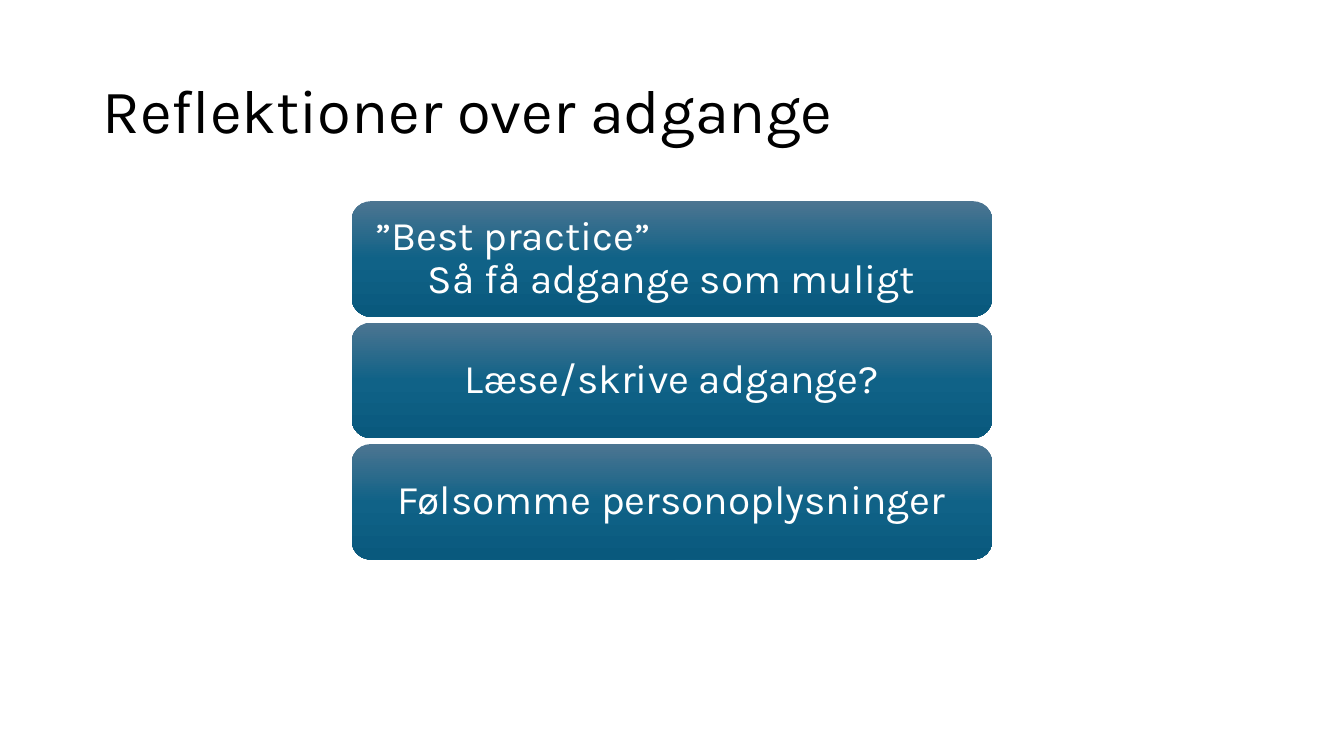
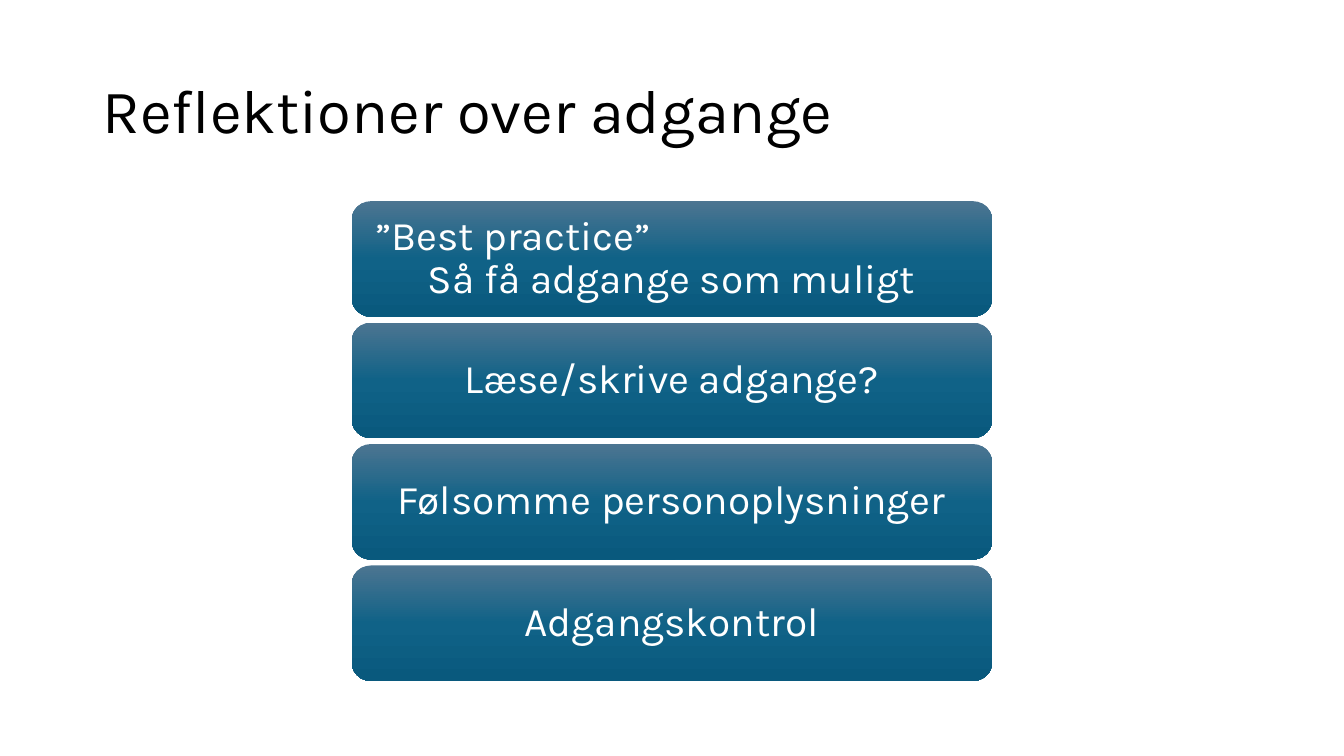
import copy

import pptx
import pptx.dml.color
import pptx.enum.shapes
import pptx.enum.text
import pptx.util
from pptx.util import Cm

ALIGN = pptx.enum.text.PP_ALIGN
COLORS = {
    "title": "000000",
    "text": "FFFFFF",
    "top": "4C7591",
    "middle": "106287",
    "bottom": "09597D",
}


class Deck:
    font = "Karla"
    width, height = 33.87, 19.05
    box_width, box_height = 16.15, 2.91
    box_top, box_gap = 5.07, 0.15

    def __init__(self):
        self.prs = pptx.Presentation()
        self.prs.slide_width = Cm(self.width)
        self.prs.slide_height = Cm(self.height)
        self.s = None

    def color(self, name):
        return pptx.dml.color.RGBColor.from_string(COLORS[name])

    def set_text(self, p, text, size, color, align):
        p.text = text
        p.alignment = align
        p.line_spacing = 0.9
        p.font.name = self.font
        p.font.size = pptx.util.Pt(size)
        p.font.color.rgb = self.color(color)

    def slide(self, title):
        self.s = self.prs.slides.add_slide(self.prs.slide_layouts[5])
        sp = self.s.shapes.title
        sp.left, sp.top, sp.width, sp.height = Cm(2.33), Cm(1.01), Cm(29.21), Cm(3.68)
        tf = sp.text_frame
        tf.auto_size = pptx.enum.text.MSO_AUTO_SIZE.NONE
        tf.vertical_anchor = pptx.enum.text.MSO_ANCHOR.MIDDLE
        self.set_text(tf.paragraphs[0], title, 44, "title", ALIGN.LEFT)

    def gradient(self, sp):
        sp.fill.gradient()
        sp.fill.gradient_angle = 270
        stop_list = sp.element.xpath(".//a:gsLst")[0]
        stop_list.append(copy.deepcopy(stop_list[-1]))
        names = ("top", "middle", "bottom")
        for stop, name, position in zip(sp.fill.gradient_stops, names, (0, 0.5, 1)):
            stop.color.rgb = self.color(name)
            stop.position = position

    def box(self, row, lines):
        sp = self.s.shapes.add_shape(
            pptx.enum.shapes.MSO_SHAPE.ROUNDED_RECTANGLE,
            Cm((self.width - self.box_width) / 2),
            Cm(self.box_top + row * (self.box_height + self.box_gap)),
            Cm(self.box_width),
            Cm(self.box_height),
        )
        sp.shadow.inherit = False
        sp.line.fill.background()
        self.gradient(sp)
        tf = sp.text_frame
        tf.word_wrap = True
        tf.vertical_anchor = pptx.enum.text.MSO_ANCHOR.MIDDLE
        tf.margin_left = tf.margin_right = Cm(0.45)
        tf.margin_top = tf.margin_bottom = Cm(0.3)
        for i, (text, align) in enumerate(lines):
            p = tf.add_paragraph() if i else tf.paragraphs[0]
            self.set_text(p, text, 29, "text", align)

    def stack(self, boxes):
        for row, lines in enumerate(boxes):
            self.box(row, lines)


def main():
    boxes = [
        [("”Best practice”", ALIGN.LEFT), ("Så få adgange som muligt", ALIGN.CENTER)],
        [("Læse/skrive adgange?", ALIGN.CENTER)],
        [("Følsomme personoplysninger", ALIGN.CENTER)],
        [("Adgangskontrol", ALIGN.CENTER)],
    ]
    deck = Deck()
    for count in (3, 4):
        deck.slide("Reflektioner over adgange")
        deck.stack(boxes[:count])
    deck.prs.save("out.pptx")


if __name__ == "__main__":
    main()
